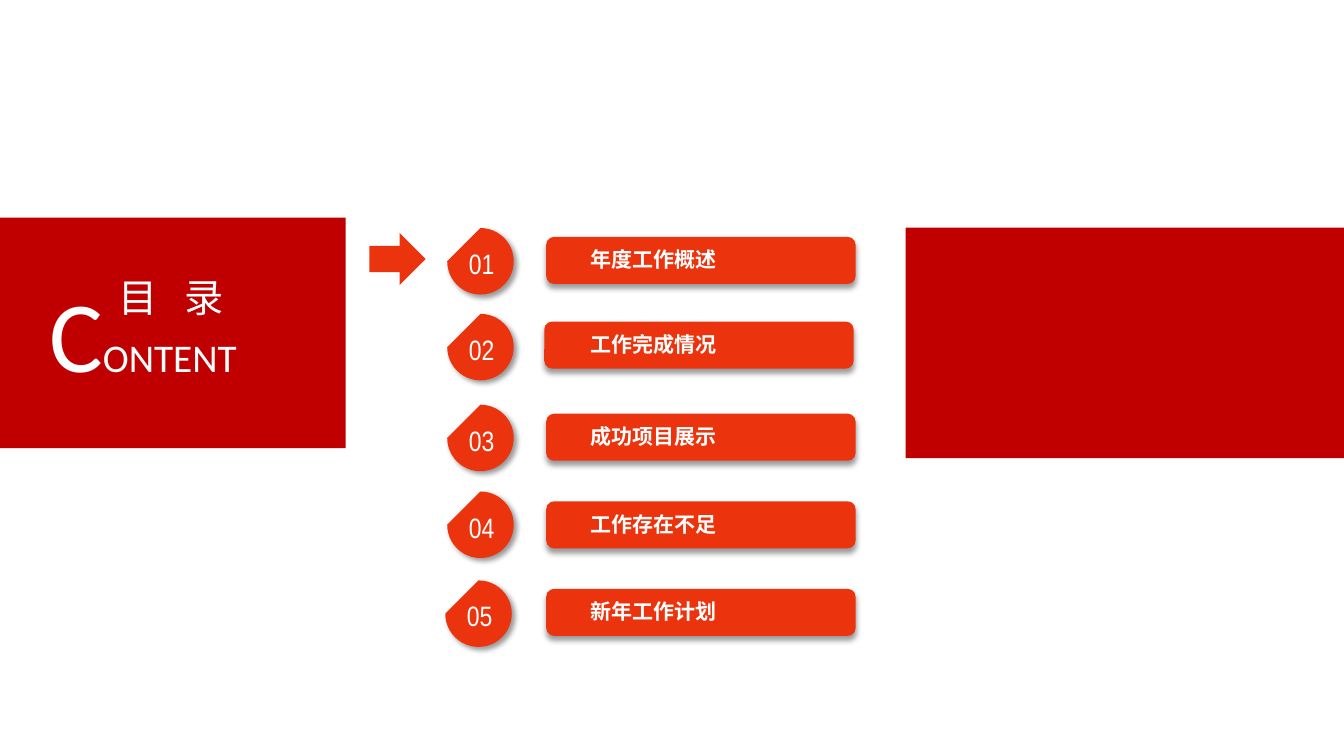
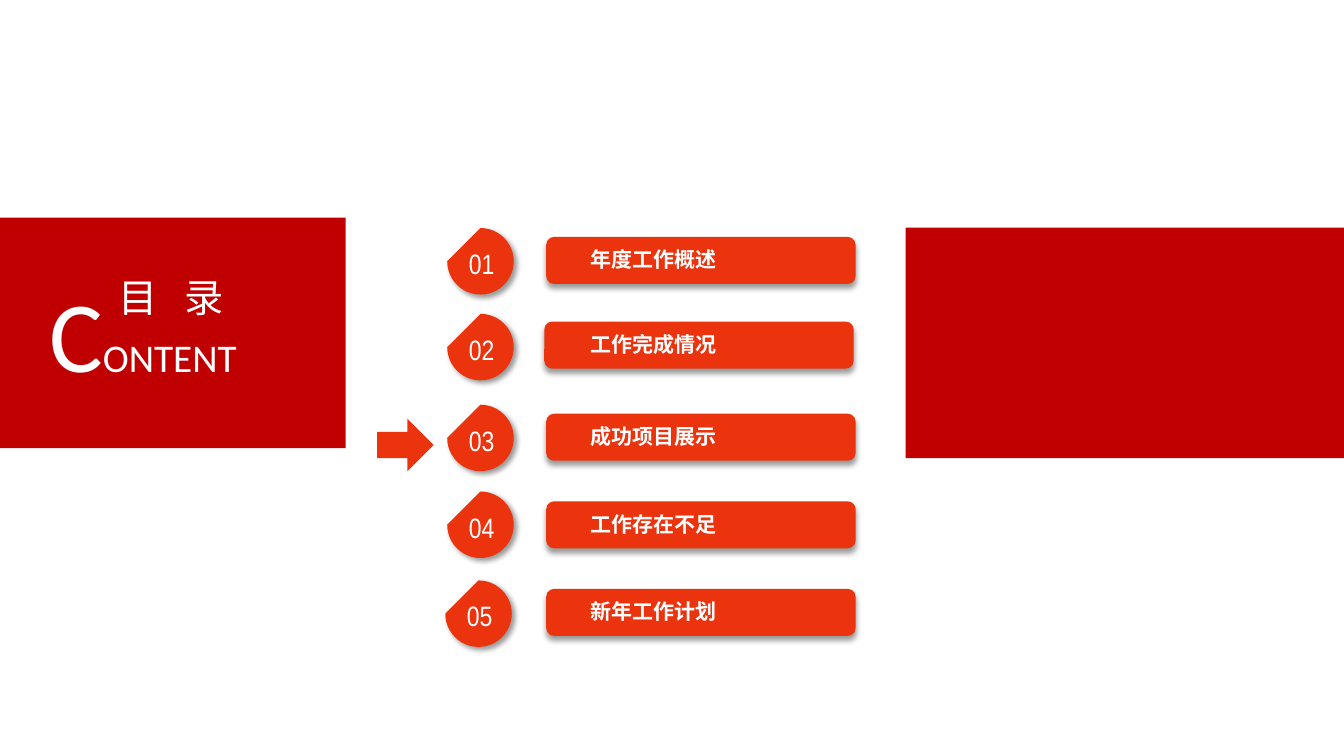
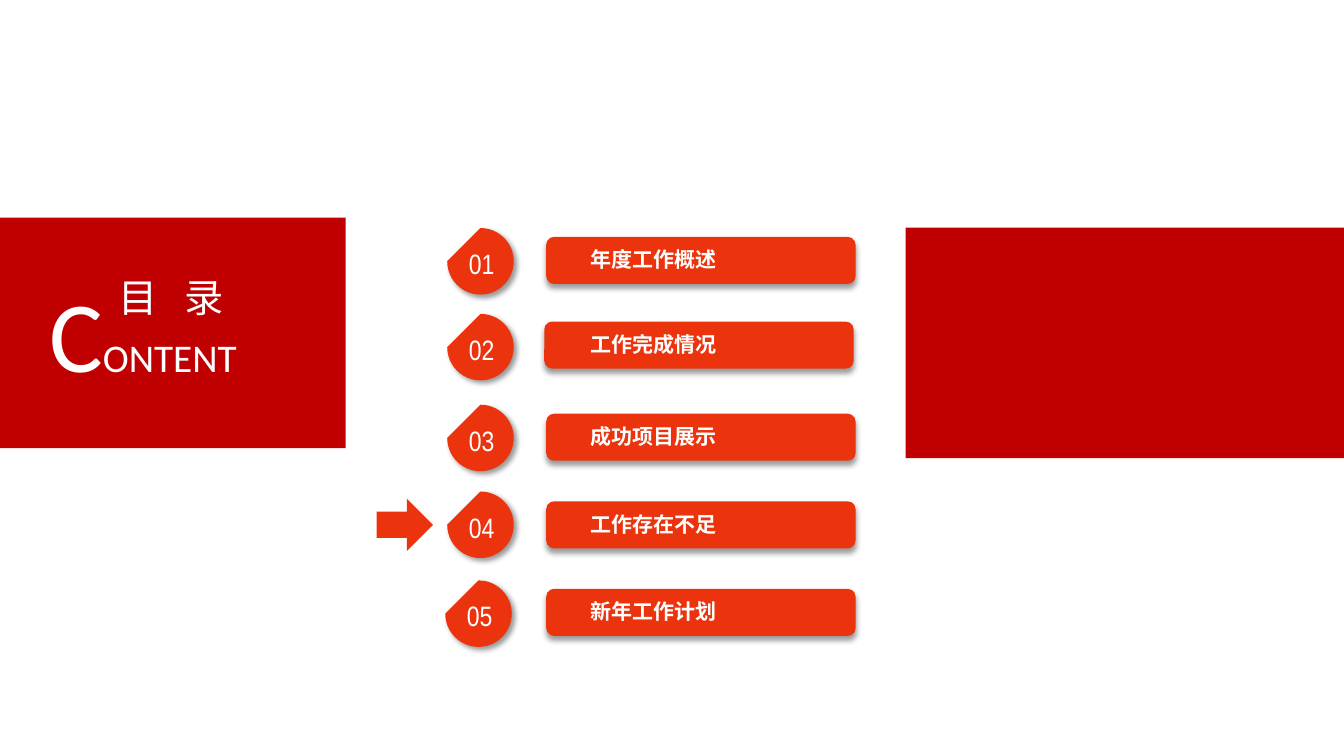
from dataclasses import dataclass

from lxml import etree
from pptx import Presentation
from pptx.dml.color import RGBColor
from pptx.enum.shapes import MSO_SHAPE
from pptx.enum.text import MSO_ANCHOR, PP_ALIGN
from pptx.oxml.ns import qn
from pptx.util import Pt

RECTANGLE, ROUNDED = MSO_SHAPE.RECTANGLE, MSO_SHAPE.ROUNDED_RECTANGLE
CHORD, ARROW = MSO_SHAPE.CHORD, MSO_SHAPE.RIGHT_ARROW
LEFT, CENTER = PP_ALIGN.LEFT, PP_ALIGN.CENTER
TOP, MIDDLE = MSO_ANCHOR.TOP, MSO_ANCHOR.MIDDLE


@dataclass(frozen=True)
class Theme:
    band: RGBColor = RGBColor(0xC0, 0x00, 0x00)
    accent: RGBColor = RGBColor(0xEB, 0x34, 0x0D)
    text: RGBColor = RGBColor(0xFF, 0xFF, 0xFF)
    title_font: str = "Calibri"
    chinese_font: str = "Noto Sans CJK SC"
    number_font: str = "Arial Narrow"
    initial_size: int = 72
    title_size: int = 28
    number_size: int = 20
    label_size: int = 15


THEME = Theme()


def add_block(slide, preset, box, color, shadow_angle=None):
    block = slide.shapes.add_shape(preset, *[Pt(length) for length in box])
    block.fill.solid()
    block.fill.fore_color.rgb = color
    block.line.fill.background()
    block.shadow.inherit = False
    if shadow_angle is not None:
        effects = block._element.spPr.find(qn("a:effectLst"))
        shadow = etree.SubElement(effects, qn("a:outerShdw"), blurRad=str(Pt(4)),
                                  dist=str(Pt(3)), dir=str(shadow_angle * 60000),
                                  algn="ctr", rotWithShape="0")
        black = etree.SubElement(shadow, qn("a:srgbClr"), val="000000")
        etree.SubElement(black, qn("a:alpha"), val="40000")
    return block


def write(shape, text, *, size, font, bold=False, align=LEFT, anchor=TOP,
          insets=(7.2, 3.6, 7.2, 3.6), spacing=0):
    frame = shape.text_frame
    frame.word_wrap = True
    frame.vertical_anchor = anchor
    (frame.margin_left, frame.margin_top,
     frame.margin_right, frame.margin_bottom) = [Pt(inset) for inset in insets]
    paragraph = frame.paragraphs[0]
    paragraph.alignment = align
    run = paragraph.add_run()
    run.text = text
    run.font.size = Pt(size)
    run.font.bold = bold
    run.font.color.rgb = THEME.text
    run.font.name = font
    properties = run._r.get_or_add_rPr()
    etree.SubElement(properties, qn("a:ea"), typeface=font)
    if spacing:
        properties.set("spc", str(round(spacing * 100)))


# Chapters: label, drop left and top, bar left and top
CHAPTERS = [
    ("年度工作概述", 319.5, 162.9, 390.2, 169.2),
    ("工作完成情况", 319.5, 224.2, 388.8, 229.7),
    ("成功项目展示", 319.5, 289.1, 390.2, 295.5),
    ("工作存在不足", 319.5, 351.1, 390.2, 358.1),
    ("新年工作计划", 318.1, 414.6, 390.2, 420.6),
]
DROP_SIZE = 47.5
BAR_WIDTH, BAR_HEIGHT = 221, 33.6
LABEL_LEFT = 422

# Arrow left and top, one for each slide
ARROWS = [(263.8, 166.3), (269.5, 299.2), (269, 356.2)]

prs = Presentation()
prs.slide_width, prs.slide_height = Pt(960), Pt(540)

for arrow_left, arrow_top in ARROWS:
    slide = prs.slides.add_slide(prs.slide_layouts[6])

    # Side bands
    add_block(slide, RECTANGLE, (0, 155.5, 247, 164.6), THEME.band)
    add_block(slide, RECTANGLE, (646.8, 162.6, 313.2, 164.6), THEME.band)

    # Title in both languages
    content = slide.shapes.add_textbox(Pt(28.1), Pt(190.8), Pt(168.5), Pt(94.3))
    write(content, "C", size=THEME.initial_size, font=THEME.title_font)
    write(content, "ONTENT", size=THEME.title_size, font=THEME.title_font)
    contents = slide.shapes.add_textbox(Pt(77.8), Pt(191.5), Pt(125.3), Pt(41))
    write(contents, "目 录", size=THEME.title_size, font=THEME.chinese_font, spacing=6.3)

    # Numbered chapters
    for number, (label, drop_left, drop_top, bar_left, bar_top) in enumerate(CHAPTERS, 1):
        drop = add_block(slide, CHORD, (drop_left, drop_top, DROP_SIZE, DROP_SIZE),
                         THEME.accent, shadow_angle=45)
        # From the top clockwise to the left, in 1/60000 degree over 100000
        drop.adjustments[0], drop.adjustments[1] = 162, 108
        write(drop, f"{number:02}", size=THEME.number_size, font=THEME.number_font,
              align=CENTER, anchor=MIDDLE, insets=(1.5, 3, 0, 0))

        bar = add_block(slide, ROUNDED, (bar_left, bar_top, BAR_WIDTH, BAR_HEIGHT),
                        THEME.accent, shadow_angle=90)
        write(bar, label, size=THEME.label_size, font=THEME.chinese_font, bold=True,
              anchor=MIDDLE, insets=(LABEL_LEFT - bar_left - 1.6, 0, 0, 1.5))

    # Arrow to the current chapter
    add_block(slide, ARROW, (arrow_left, arrow_top, 40.3, 37.4), THEME.accent)

prs.save("out.pptx")
